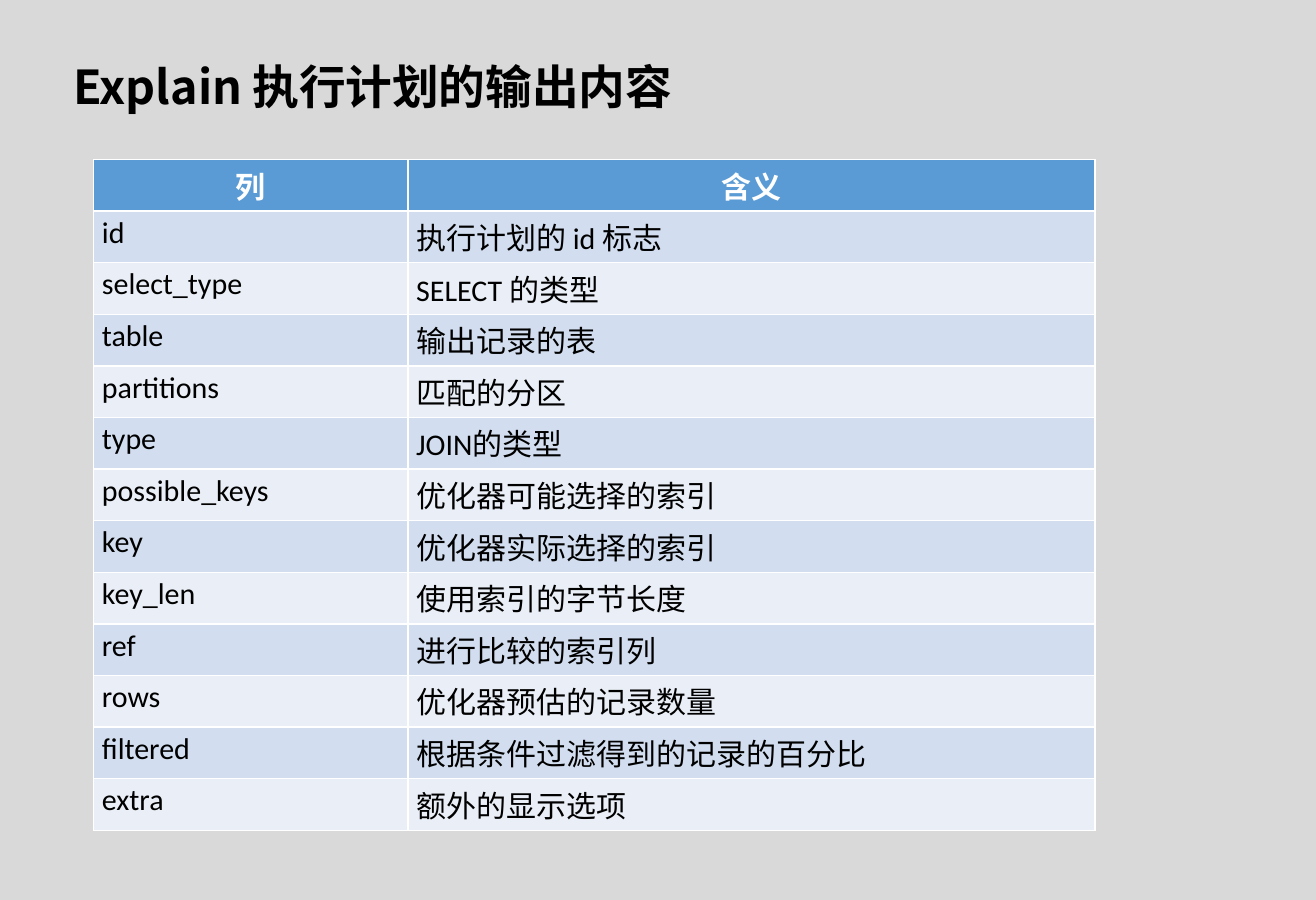
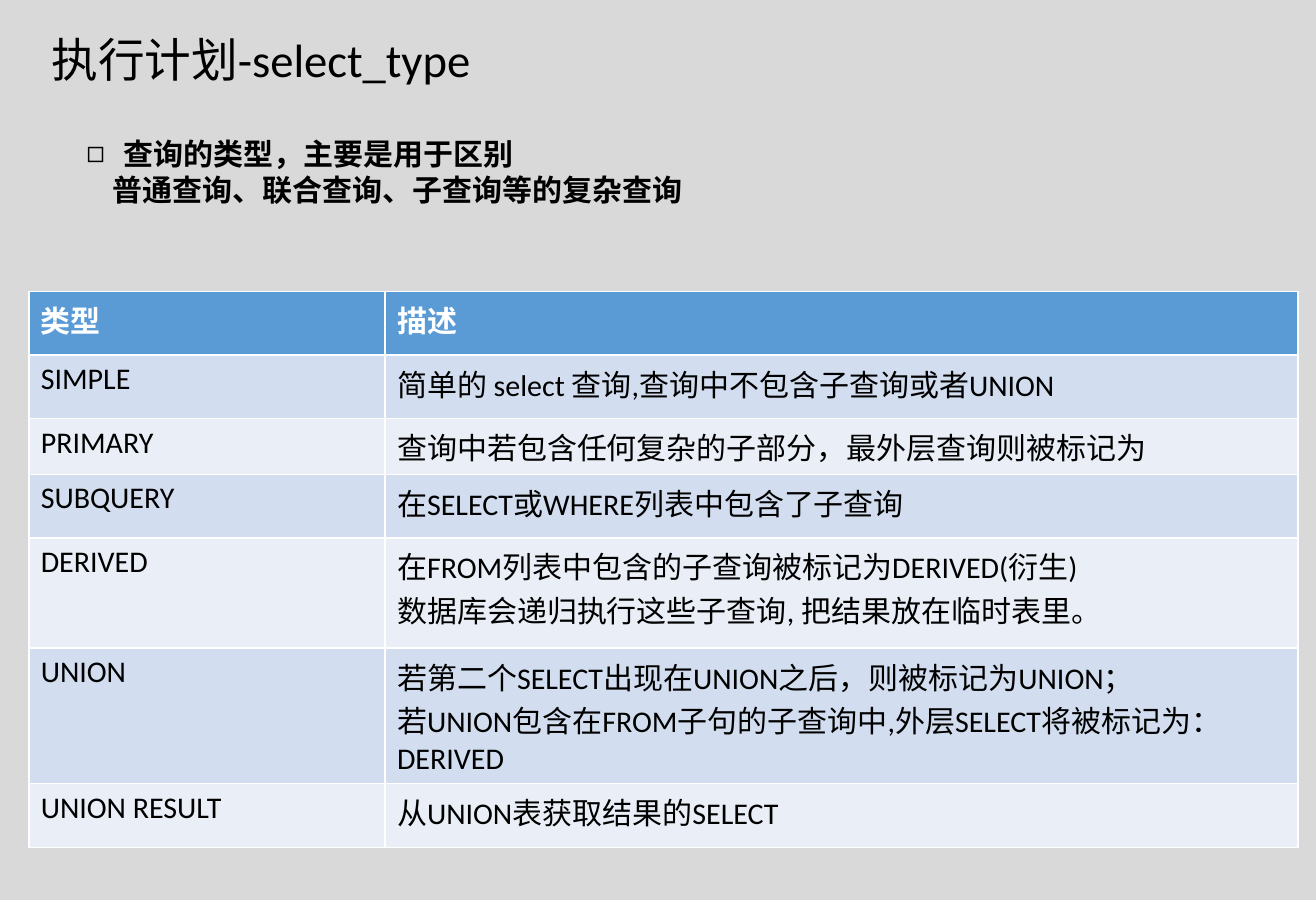
from pptx import Presentation
from pptx.dml.color import RGBColor
from pptx.enum.text import MSO_ANCHOR, MSO_AUTO_SIZE, PP_ALIGN
from pptx.oxml.ns import qn
from pptx.util import Inches, Pt

LATIN, CHINESE = "Calibri", "Noto Sans CJK SC"
BACKGROUND, BLACK, WHITE = "D9D9D9", "000000", "FFFFFF"
HEADER, BANDS = "5B9BD5", ("D2DEEF", "EAEFF7")
TITLE_ONLY, TITLE_AND_BODY = 5, 1

OUTPUT_COLUMNS = [
    ("列", "含义"),
    ("id", "执行计划的 id 标志"),
    ("select_type", "SELECT 的类型"),
    ("table", "输出记录的表"),
    ("partitions", "匹配的分区"),
    ("type", "JOIN的类型"),
    ("possible_keys", "优化器可能选择的索引"),
    ("key", "优化器实际选择的索引"),
    ("key_len", "使用索引的字节长度"),
    ("ref", "进行比较的索引列"),
    ("rows", "优化器预估的记录数量"),
    ("filtered", "根据条件过滤得到的记录的百分比"),
    ("extra", "额外的显示选项"),
]
SELECT_TYPES = [
    ("类型", "描述"),
    ("SIMPLE", "简单的 select 查询,查询中不包含子查询或者UNION"),
    ("PRIMARY", "查询中若包含任何复杂的子部分，最外层查询则被标记为"),
    ("SUBQUERY", "在SELECT或WHERE列表中包含了子查询"),
    ("DERIVED", "在FROM列表中包含的子查询被标记为DERIVED(衍生)\n"
                "数据库会递归执行这些子查询, 把结果放在临时表里。"),
    ("UNION", "若第二个SELECT出现在UNION之后，则被标记为UNION；\n"
              "若UNION包含在FROM子句的子查询中,外层SELECT将被标记为：DERIVED"),
    ("UNION RESULT", "从UNION表获取结果的SELECT"),
]


def color(value):
    return RGBColor.from_string(value)


class Slides:
    """Holds the shared style and the page being filled."""

    def __init__(self):
        self.deck = Presentation()
        self.deck.slide_width, self.deck.slide_height = Inches(10.97), Inches(7.5)
        fill = self.deck.slide_master.background.fill
        fill.solid()
        fill.fore_color.rgb = color(BACKGROUND)
        self.page = None

    def new_page(self, layout):
        self.page = self.deck.slides.add_slide(self.deck.slide_layouts[layout])

    def style(self, frame, size, ink=BLACK, bold=False, font=LATIN, align=PP_ALIGN.LEFT):
        for paragraph in frame.paragraphs:
            paragraph.alignment = align
            for span in paragraph.runs:
                span.font.name, span.font.size, span.font.bold = font, Pt(size), bold
                span.font.color.rgb = color(ink)
                latin = span.font._element.find(qn("a:latin"))
                east_asian = latin.makeelement(qn("a:ea"), {"typeface": CHINESE})
                latin.addnext(east_asian)

    def place(self, box, text, left, top, width, height):
        box.left, box.top = Inches(left), Inches(top)
        box.width, box.height = Inches(width), Inches(height)
        frame = box.text_frame
        frame.text = text
        frame.word_wrap = True
        frame.auto_size = MSO_AUTO_SIZE.NONE
        frame.vertical_anchor = MSO_ANCHOR.TOP
        return frame

    def title(self, text, left, top, **style):
        frame = self.place(self.page.shapes.title, text, left, top, 5.53, 0.57)
        self.style(frame, 28, **style)

    def bullet(self, text, continuation, left, top, width, height):
        """Add a bulleted line and an unbulleted line that continues it."""
        box = self.page.placeholders[1]
        frame = self.place(box, f"{text}\n{continuation}", left, top, width, height)
        self.style(frame, 18, bold=True)
        marks = (("a:buChar", {"char": "◻"}, 0.31, -0.31), ("a:buNone", {}, 0.22, 0))
        for paragraph, (tag, attributes, margin, indent) in zip(frame.paragraphs, marks):
            paragraph.space_before = Pt(0)
            paragraph.line_spacing = Pt(21.6)
            properties = paragraph._p.get_or_add_pPr()
            properties.set("marL", str(Inches(margin)))
            properties.set("indent", str(Inches(indent)))
            properties.append(properties.makeelement(qn(tag), attributes))

    def table(self, rows, left, top, widths, heights, margins=(0.1, 0.05),
              header_align=PP_ALIGN.LEFT):
        table = self.page.shapes.add_table(
            len(rows), len(widths), Inches(left), Inches(top),
            Inches(sum(widths)), Inches(sum(heights))).table
        for column, width in zip(table.columns, widths):
            column.width = Inches(width)
        for number, (texts, height) in enumerate(zip(rows, heights)):
            table.rows[number].height = Inches(height)
            is_header = number == 0
            for cell, text in zip(table.rows[number].cells, texts):
                cell.text = text
                cell.margin_left = cell.margin_right = Inches(margins[0])
                cell.margin_top = cell.margin_bottom = Inches(margins[1])
                cell.fill.solid()
                cell.fill.fore_color.rgb = color(HEADER if is_header else BANDS[(number - 1) % 2])
                self.style(cell.text_frame, 18, WHITE if is_header else BLACK, is_header,
                           align=header_align if is_header else PP_ALIGN.LEFT)


def main():
    slides = Slides()

    slides.new_page(TITLE_ONLY)
    slides.title("Explain 执行计划的输出内容", 0.51, 0.43, bold=True, font=CHINESE)
    slides.table(OUTPUT_COLUMNS, 0.78, 1.33, (2.62, 5.73), [0.43] * len(OUTPUT_COLUMNS),
                 margins=(0.07, 0.03), header_align=PP_ALIGN.CENTER)

    slides.new_page(TITLE_AND_BODY)
    slides.title("执行计划-select_type", 0.33, 0.21)
    slides.bullet("查询的类型，主要是用于区别", "普通查询、联合查询、子查询等的复杂查询",
                  0.62, 1.08, 8.05, 0.71)
    slides.table(SELECT_TYPES, 0.24, 2.43, (2.97, 7.61),
                 (0.53, 0.53, 0.44, 0.53, 0.92, 1.09, 0.53))

    slides.deck.save("out.pptx")


if __name__ == "__main__":
    main()
